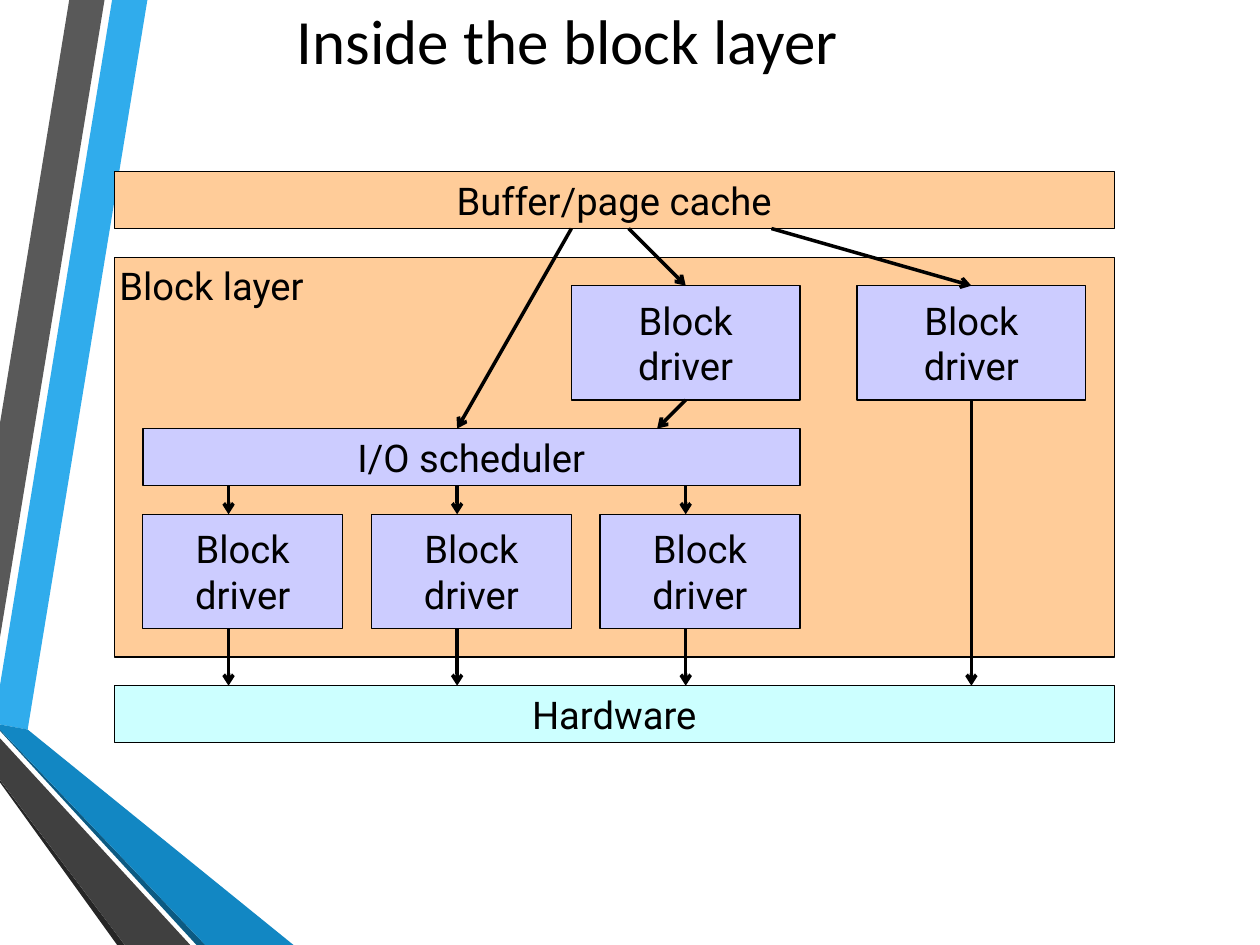
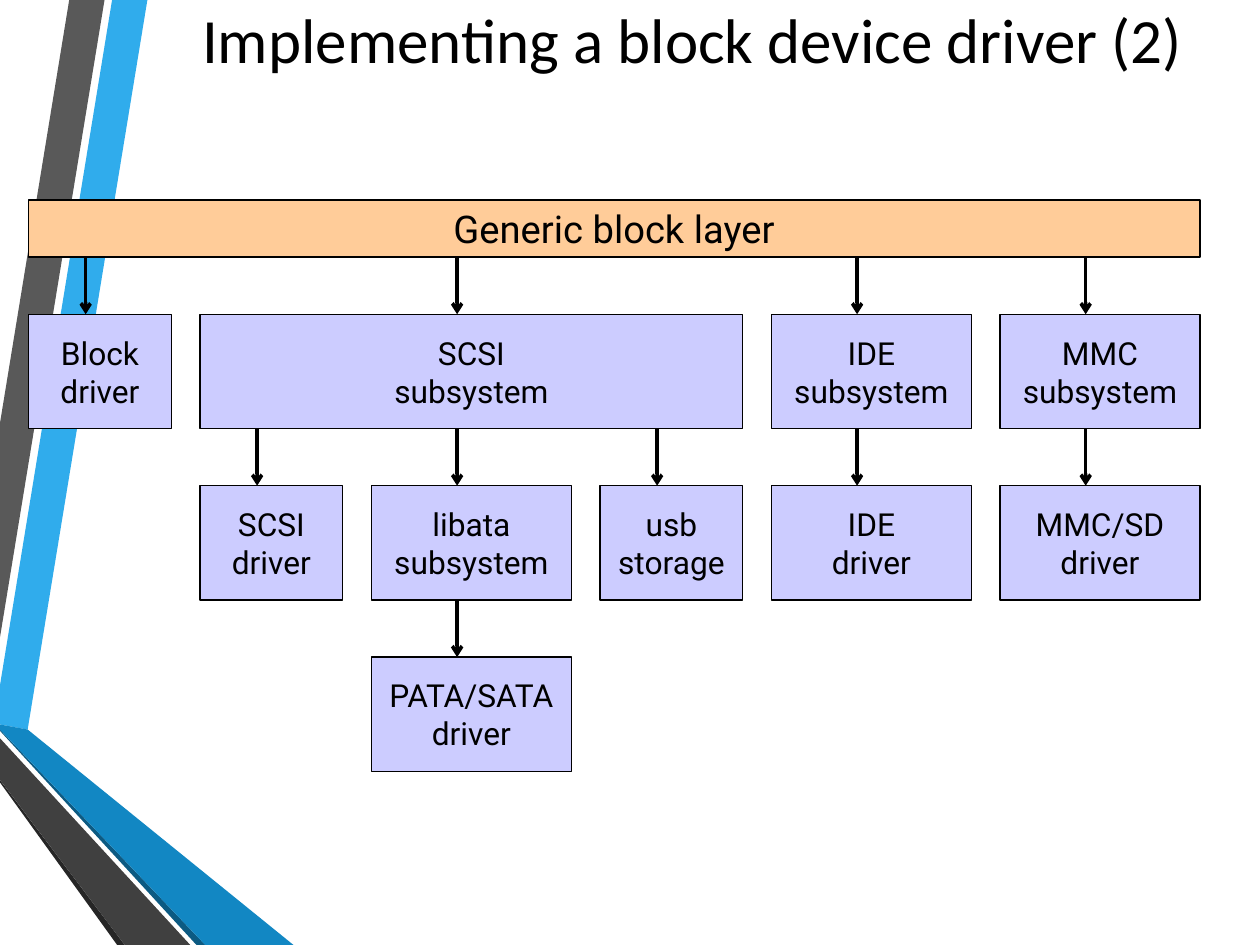
import pptx
import pptx.dml.color
import pptx.enum.shapes
import pptx.enum.text
import pptx.oxml
import pptx.oxml.ns
import pptx.util
from dataclasses import dataclass

Inches = pptx.util.Inches
Pt = pptx.util.Pt
RGBColor = pptx.dml.color.RGBColor
Anchor = pptx.enum.text.MSO_ANCHOR
Align = pptx.enum.text.PP_ALIGN

BLACK = RGBColor(0x00, 0x00, 0x00)
ORANGE = RGBColor(0xFF, 0xCC, 0x99)
LAVENDER = RGBColor(0xCC, 0xCC, 0xFF)
AQUA = RGBColor(0xCC, 0xFF, 0xFF)
SKY = RGBColor(0x30, 0xAC, 0xEC)
BLUE = RGBColor(0x12, 0x87, 0xC3)
DEEP_BLUE = RGBColor(0x0C, 0x5A, 0x82)
GRAY = RGBColor(0x59, 0x59, 0x59)
DARK_GRAY = RGBColor(0x40, 0x40, 0x40)
CHARCOAL = RGBColor(0x26, 0x26, 0x26)

TITLE_FONT, TITLE_SIZE = "Calibri", 36
LABEL_FONT, LARGE, SMALL = "Roboto", 21.8, 18.1
UNIT = Inches(10) / 44.1
BAR_HEIGHT, DRIVER_HEIGHT = 2, 4

RIBBONS = [
    (SKY, [(0, 5.44), (0, 5.75), (0.22, 5.79), (1.17, 0), (0.89, 0)]),
    (GRAY, [(0.83, 0), (0.55, 0), (0, 3.36), (0, 5.06)]),
    (CHARCOAL, [(0, 6.19), (0, 6.21), (0.93, 7.5), (0.99, 7.5)]),
    (DEEP_BLUE, [(0, 5.79), (0, 5.8), (1.56, 7.5), (1.63, 7.5)]),
    (BLUE, [(0, 5.79), (1.63, 7.5), (2.33, 7.5), (0.22, 5.79), (0, 5.75)]),
    (DARK_GRAY, [(0, 6.19), (0.99, 7.5), (1.51, 7.5), (0, 5.86)]),
]


def format_text(text_frame, font_name, size, alignment):
    for paragraph in text_frame.paragraphs:
        paragraph.alignment = alignment
        for run in paragraph.runs:
            run.font.name = font_name
            run.font.size = Pt(size)
            run.font.color.rgb = BLACK


@dataclass
class Diagram:
    slide: object
    left: int
    top: int

    def position(self, column, row):
        return round((self.left + column) * UNIT), round((self.top + row) * UNIT)

    def box(self, text, column, row, width, height, fill, size=LARGE):
        shape = self.slide.shapes.add_shape(
            pptx.enum.shapes.MSO_SHAPE.RECTANGLE,
            *self.position(column, row), round(width * UNIT), round(height * UNIT))
        shape.shadow.inherit = False
        shape.fill.solid()
        shape.fill.fore_color.rgb = fill
        shape.line.color.rgb = BLACK
        shape.line.width = Pt(0)
        text_frame = shape.text_frame
        text_frame.margin_left = text_frame.margin_top = 0
        text_frame.margin_right = text_frame.margin_bottom = 0
        text_frame.vertical_anchor = Anchor.MIDDLE
        text_frame.word_wrap = True
        text_frame.text = text
        format_text(text_frame, LABEL_FONT, size, Align.CENTER)
        return shape

    def arrow(self, start, end, source=None, target=None):
        connector = self.slide.shapes.add_connector(
            pptx.enum.shapes.MSO_CONNECTOR.STRAIGHT,
            *self.position(*start), *self.position(*end))
        if source:
            connector.begin_connect(source, 2)
        if target:
            connector.end_connect(target, 0)
        connector.line.color.rgb = BLACK
        connector.line.width = Pt(0)
        tail = pptx.oxml.parse_xml(
            f'<a:tailEnd {pptx.oxml.ns.nsdecls("a")} type="arrow"/>')
        connector.get_or_add_ln().append(tail)
        effects = pptx.oxml.parse_xml(f'<a:effectLst {pptx.oxml.ns.nsdecls("a")}/>')
        connector.element.spPr.append(effects)

    def down_arrows(self, columns, row, length):
        for column in columns:
            self.arrow((column, row), (column, row + length))


def add_ribbons(layout, slide):
    for number, (color, points) in enumerate(RIBBONS):
        corners = [(Inches(x), Inches(y)) for x, y in points]
        builder = slide.shapes.build_freeform(*corners[0])
        builder.add_line_segments(corners[1:], close=True)
        ribbon = builder.convert_to_shape()
        ribbon.shadow.inherit = False
        ribbon.fill.solid()
        ribbon.fill.fore_color.rgb = color
        ribbon.line.fill.background()
        ribbon.element.xpath("./p:nvSpPr/p:cNvPr")[0].set("id", str(100 + number))
        layout.shapes.element.append(ribbon.element)


def add_title(slide, text, left, height):
    title = slide.shapes.title
    title.left, title.top = Inches(left), 0
    title.width, title.height = Inches(9.01), Inches(height)
    text_frame = title.text_frame
    text_frame.text = text
    text_frame.word_wrap = True
    text_frame.auto_size = pptx.enum.text.MSO_AUTO_SIZE.NONE
    text_frame.vertical_anchor = Anchor.MIDDLE
    format_text(text_frame, TITLE_FONT, TITLE_SIZE, Align.CENTER)


def draw_block_layer(slide, left, top):
    diagram = Diagram(slide, left, top)
    width = 35
    diagram.box("Buffer/page cache", 0, 0, width, BAR_HEIGHT, ORANGE)
    layer = diagram.box("Block layer", 0, 3, width, 14, ORANGE)
    layer.text_frame.vertical_anchor = Anchor.TOP
    layer.text_frame.margin_left = layer.text_frame.margin_top = Inches(0.04)
    layer.text_frame.paragraphs[0].alignment = Align.LEFT
    diagram.box("Hardware", 0, 18, width, BAR_HEIGHT, AQUA)

    stacked_driver, direct_driver = [
        diagram.box("Block\ndriver", column, 4, 8, DRIVER_HEIGHT, LAVENDER)
        for column in (16, 26)]
    diagram.box("I/O scheduler", 1, 9, 23, BAR_HEIGHT, LAVENDER)
    for column in (1, 9, 17):
        diagram.box("Block\ndriver", column, 12, 7, DRIVER_HEIGHT, LAVENDER)

    diagram.arrow((18, 2), (20, 4), target=stacked_driver)
    diagram.arrow((16, 2), (12, 9))
    diagram.arrow((23, 2), (30, 4), target=direct_driver)
    diagram.arrow((20, 8), (19, 9), source=stacked_driver)
    diagram.arrow((30, 8), (30, 18), source=direct_driver)
    scheduled_columns = (4, 12, 20)
    diagram.down_arrows(scheduled_columns, 11, 1)
    diagram.down_arrows(scheduled_columns, 16, 2)


def draw_driver_tree(slide, left, top):
    diagram = Diagram(slide, left, top)
    diagram.box("Generic block layer", 0, 0, 41, BAR_HEIGHT, ORANGE)
    levels = [
        [("Block\ndriver", 0, 5), ("SCSI\nsubsystem", 6, 19),
         ("IDE\nsubsystem", 26, 7), ("MMC\nsubsystem", 34, 7)],
        [("SCSI\ndriver", 6, 5), ("libata\nsubsystem", 12, 7),
         ("usb\nstorage", 20, 5), ("IDE\ndriver", 26, 7),
         ("MMC/SD\ndriver", 34, 7)],
        [("PATA/SATA\ndriver", 12, 7)],
    ]
    arrow_columns = [(2, 15, 29, 37), (8, 15, 22, 29, 37), (15,)]
    gap = 2
    for level, (boxes, columns) in enumerate(zip(levels, arrow_columns)):
        row = BAR_HEIGHT + gap + level * (DRIVER_HEIGHT + gap)
        for text, column, width in boxes:
            diagram.box(text, column, row, width, DRIVER_HEIGHT, LAVENDER, SMALL)
        diagram.down_arrows(columns, row - gap, gap)


def main():
    presentation = pptx.Presentation()
    presentation.slide_width = Inches(10)
    presentation.slide_height = Inches(7.5)
    layout = presentation.slide_layouts[5]

    slide = presentation.slides.add_slide(layout)
    add_ribbons(layout, slide)
    add_title(slide, "Inside the block layer", 0, 0.62)
    draw_block_layer(slide, 4, 6)

    slide = presentation.slides.add_slide(layout)
    add_title(slide, "Implementing a block device driver (2)", 0.99, 0.6)
    draw_driver_tree(slide, 1, 7)

    presentation.save("out.pptx")


if __name__ == "__main__":
    main()
